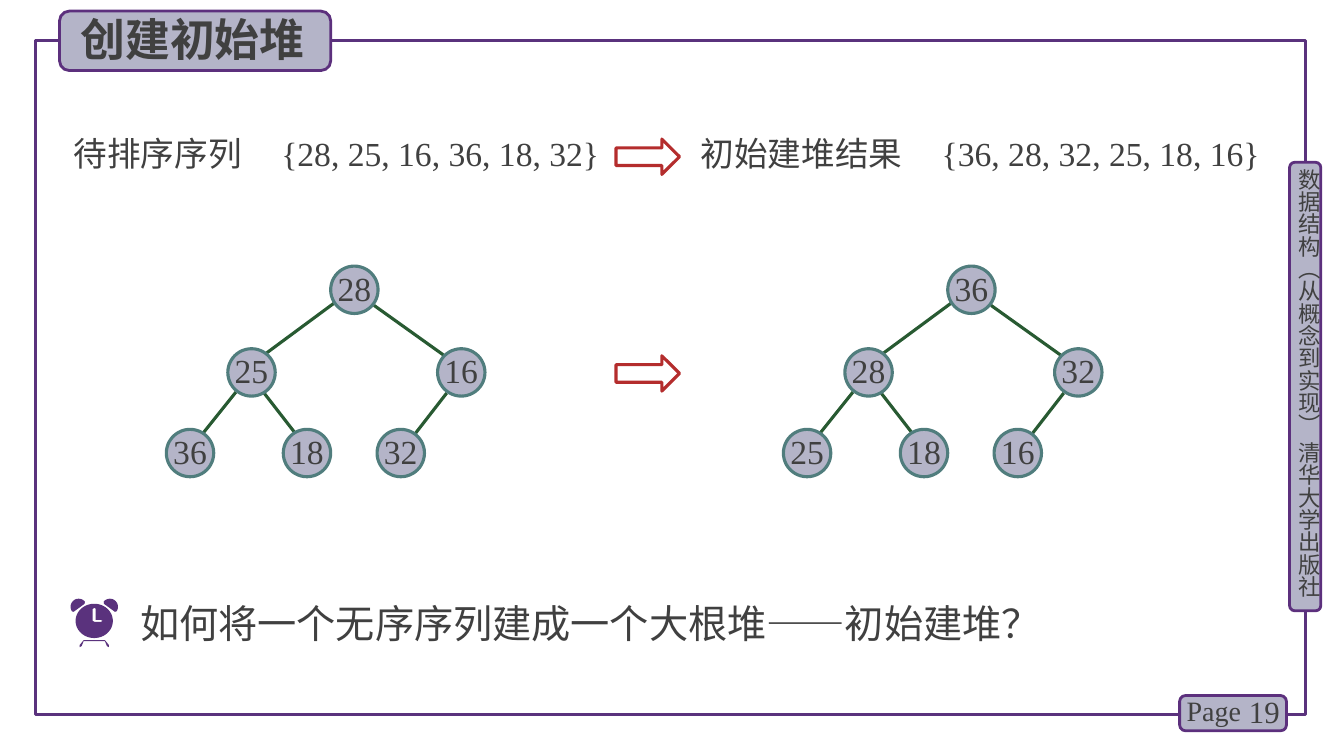
import math

from lxml import etree
from pptx import Presentation
from pptx import util as u
from pptx.dml import color
from pptx.enum import shapes, text
from pptx.oxml import ns

COLORS = {
    "frame": "5A327D",
    "tab_line": "5C307D",
    "fill": "B4B4C8",
    "text": "404040",
    "node_line": "507D7D",
    "edge": "285A32",
    "arrow": "B42D2D",
}
CHINESE = "Noto Sans CJK SC"
LATIN = "Times New Roman"
NODE_SIZE = 0.47
NODE_PLACES = [(3.28, 2.64), (2.26, 3.46), (4.34, 3.46),
               (1.65, 4.26), (2.81, 4.26), (3.74, 4.26)]
EDGES = [(3.31, 3.01, 2.62, 3.52), (3.71, 3.03, 4.41, 3.53),
         (2.34, 3.89, 2.02, 4.29), (2.62, 3.9, 2.93, 4.3),
         (4.43, 3.9, 4.12, 4.3)]
CLOCK_CENTER = 0.935


def rgb(name):
    return color.RGBColor.from_string(COLORS[name])


def arc(center, radii, start, end, steps=24):
    """Points along an ellipse, with angles in degrees."""
    angles = [math.radians(start + (end - start) * i / steps)
              for i in range(steps + 1)]
    return [(center[0] + radii[0] * math.cos(angle),
             center[1] + radii[1] * math.sin(angle)) for angle in angles]


def mirror(points):
    return [(2 * CLOCK_CENTER - x, y) for x, y in points]


def write(shape, words, size=24, font=LATIN, bold=False, align=text.PP_ALIGN.LEFT,
          anchor=text.MSO_ANCHOR.TOP, inset=(0, 0), wrap=True, spacing=None,
          vertical=None, tab=None):
    frame = shape.text_frame
    frame.word_wrap = wrap
    frame.vertical_anchor = anchor
    frame.margin_left = frame.margin_right = u.Inches(inset[0])
    frame.margin_top = frame.margin_bottom = u.Inches(inset[1])
    if vertical:
        frame._txBody.bodyPr.set("vert", vertical)
    paragraph = frame.paragraphs[0]
    if tab:
        tabs = etree.SubElement(paragraph._p.get_or_add_pPr(), ns.qn("a:tabLst"))
        etree.SubElement(tabs, ns.qn("a:tab"), pos=str(u.Inches(tab)), algn="l")
    paragraph.alignment = align
    if spacing:
        paragraph.line_spacing = u.Pt(spacing)
    run = paragraph.add_run()
    run.text = words
    run.font.size = u.Pt(size)
    run.font.name = font
    run.font.bold = bold
    run.font.color.rgb = rgb("text")
    east_asian = etree.SubElement(run._r.get_or_add_rPr(), ns.qn("a:ea"))
    east_asian.set("typeface", CHINESE)


class HeapSlide:
    def __init__(self, presentation):
        self.slide = presentation.slides.add_slide(presentation.slide_layouts[6])
        self.shapes = self.slide.shapes

    def style(self, shape, fill=None, line=None, width=2.25):
        shape.shadow.inherit = False
        if fill:
            shape.fill.solid()
            shape.fill.fore_color.rgb = rgb(fill)
        else:
            shape.fill.background()
        if line:
            shape.line.color.rgb = rgb(line)
            shape.line.width = u.Pt(width)
        else:
            shape.line.fill.background()

    def preset(self, kind, place, **style):
        shape = self.shapes.add_shape(kind, *map(u.Inches, place))
        self.style(shape, **style)
        return shape

    def label_tab(self, *place):
        self.preset(shapes.MSO_SHAPE.ROUNDED_RECTANGLE, place,
                    fill="fill", line="tab_line", width=2)

    def arrow(self, top):
        self.preset(shapes.MSO_SHAPE.RIGHT_ARROW, (6.11, top, 0.63, 0.35), line="arrow")

    def text_box(self, place, words, **style):
        write(self.shapes.add_textbox(*map(u.Inches, place)), words, **style)

    def edge(self, *ends):
        line = self.shapes.add_connector(shapes.MSO_CONNECTOR.STRAIGHT,
                                         *map(u.Inches, ends))
        line.line.color.rgb = rgb("edge")
        line.line.width = u.Pt(2.25)
        etree.SubElement(line._element.spPr, ns.qn("a:effectLst"))

    def outline(self, *contours):
        """A filled freeform; contours after the first are holes."""
        scaled = [[(u.Inches(x), u.Inches(y)) for x, y in contour]
                  for contour in contours]
        builder = self.shapes.build_freeform(*scaled[0][0])
        builder.add_line_segments(scaled[0][1:])
        for hole in scaled[1:]:
            builder.move_to(*hole[0])
            builder.add_line_segments(hole[1:])
        self.style(builder.convert_to_shape(), fill="frame")

    def clock(self):
        half_feet = [(0.83, 6.35), (0.79, 6.4), (0.79, 6.42), (0.81, 6.41), (0.83, 6.36)]
        other_half = mirror(half_feet)[::-1]
        self.outline(half_feet + other_half)
        bell = arc((0.78, 6.02), (0.08, 0.08), -40, -215) + [(0.73, 6.07), (0.84, 5.99)]
        self.outline(bell)
        self.outline(mirror(bell))
        hands = [(0.92, 6.04), (0.94, 6.03), (0.95, 6.04), (0.95, 6.15), (1, 6.15),
                 (1.02, 6.16), (1, 6.17), (0.94, 6.17), (0.92, 6.16)]
        self.outline(arc((CLOCK_CENTER, 6.16), (0.185, 0.17), 0, 360, 48), hands)

    def tree(self, values, shift=0):
        """Draw a heap whose values are in level order."""
        for x1, y1, x2, y2 in EDGES:
            self.edge(x1 + shift, y1, x2 + shift, y2)
        for value, (left, top) in zip(values, NODE_PLACES):
            node = self.preset(shapes.MSO_SHAPE.OVAL,
                               (left + shift, top, NODE_SIZE, NODE_SIZE),
                               fill="fill", line="node_line")
            write(node, str(value), align=text.PP_ALIGN.CENTER, wrap=False, spacing=25)

    def sequence(self, place, name, values, tab):
        listing = ", ".join(map(str, values))
        self.text_box(place, f"{name}\t{{{listing}}}", tab=tab)


def main():
    presentation = Presentation()
    presentation.slide_width = u.Inches(13.33)
    presentation.slide_height = u.Inches(7.5)
    page = HeapSlide(presentation)
    margins = (0.1, 0.05)

    page.preset(shapes.MSO_SHAPE.RECTANGLE, (0.35, 0.4, 12.6, 6.69), line="frame")
    page.label_tab(12.79, 1.61, 0.31, 4.45)
    page.text_box((12.85, 1.67, 0.27, 4.49), "数据结构（从概念到实现） 清华大学出版社",
                  size=16, font=CHINESE, vertical="eaVert")
    page.label_tab(11.7, 6.9, 1.06, 0.35)
    page.text_box((12.2, 6.86, 0.59, 0.4), "19", size=22, inset=margins,
                  align=text.PP_ALIGN.RIGHT, anchor=text.MSO_ANCHOR.MIDDLE)
    page.text_box((11.67, 6.83, 0.78, 0.44), "Page", size=20, inset=margins)
    page.label_tab(0.59, 0.11, 2.69, 0.59)
    page.text_box((0.7, 0.07, 2.61, 0.64), "创建初始堆", size=32, font=CHINESE,
                  bold=True, inset=margins)

    page.clock()
    page.text_box((1.39, 5.95, 9.87, 0.47),
                  "如何将一个无序序列建成一个大根堆——初始建堆？", size=28, font=CHINESE)

    unsorted_values = [28, 25, 16, 36, 18, 32]
    heap_values = [36, 28, 32, 25, 18, 16]
    page.sequence((0.73, 1.32, 5.48, 0.4), "待排序序列", unsorted_values, tab=2.06)
    page.sequence((6.95, 1.32, 5.79, 0.4), "初始建堆结果", heap_values, tab=2.39)
    page.tree(unsorted_values)
    page.tree(heap_values, shift=6.12)
    for top in (1.38, 3.53):
        page.arrow(top)

    presentation.save("out.pptx")


if __name__ == "__main__":
    main()
